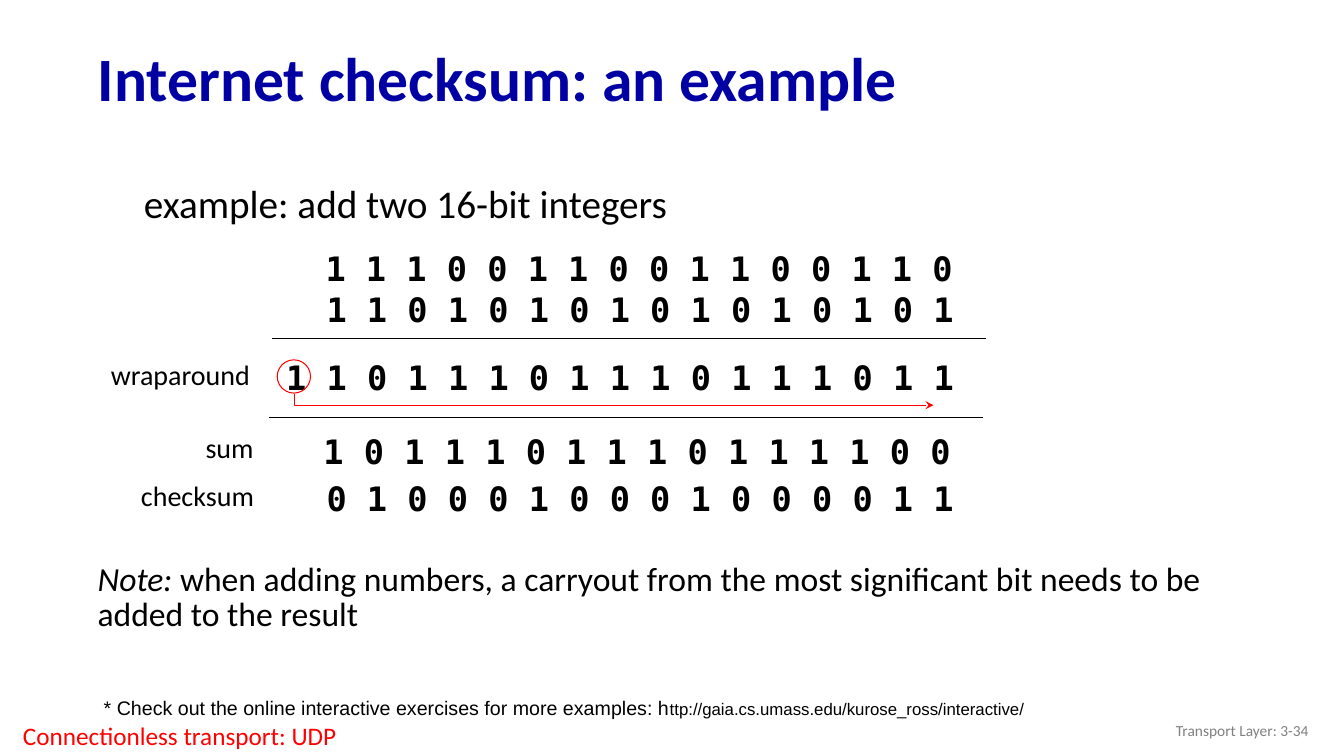
from lxml import etree
from pptx import Presentation
from pptx.dml.color import RGBColor
from pptx.enum.shapes import MSO_CONNECTOR, MSO_SHAPE
from pptx.enum.text import MSO_ANCHOR, MSO_AUTO_SIZE, PP_ALIGN
from pptx.oxml.ns import qn
from pptx.util import Inches, Pt

STRAIGHT = MSO_CONNECTOR.STRAIGHT
OVAL = MSO_SHAPE.OVAL
TOP, MIDDLE = MSO_ANCHOR.TOP, MSO_ANCHOR.MIDDLE
FIT, NO_FIT = MSO_AUTO_SIZE.SHAPE_TO_FIT_TEXT, MSO_AUTO_SIZE.NONE
LEFT, RIGHT = PP_ALIGN.LEFT, PP_ALIGN.RIGHT

NAVY = RGBColor(0x00, 0x00, 0xA3)
BLACK = RGBColor(0x00, 0x00, 0x00)
RED = RGBColor(0xFF, 0x00, 0x00)
GRAY = RGBColor(0x80, 0x80, 0x80)

BIT_WIDTH, BIT_HEIGHT = 6.45, 0.5
BIT_ROWS = [
    (3.13, 2.41, "1110011001100110"),
    (3.14, 2.82, "1101010101010101"),
    (2.74, 3.49, "11011101110111011"),
    (3.11, 4.23, "1011101110111100"),
    (3.14, 4.69, "0100010001000011"),
]
ROW_LABELS = [
    (1, 3.5, 1.59, "wraparound"),
    (1.94, 4.22, 0.7, "sum"),
    (1.3, 4.7, 1.34, "checksum"),
]
RULES = [(2.7, 3.36), (2.67, 4.14)]
RULE_LENGTH = 7.08


class SlideBuilder:
    base = {"name": "Calibri", "size": Pt(20), "bold": False, "italic": False}

    def __init__(self, slide):
        self.s = slide

    def fill_text(self, sp, runs, color=BLACK, align=LEFT, anchor=TOP,
                  wrap=True, fit=FIT, para=None, **font):
        """Put one paragraph in sp; runs is a list of (text, font values)."""
        tf = sp.text_frame
        tf.word_wrap, tf.auto_size, tf.vertical_anchor = wrap, fit, anchor
        p = tf.paragraphs[0]
        p.alignment = align
        for key, value in (para or {}).items():
            setattr(p, key, value)
        for text, extra in runs:
            r = p.add_run()
            r.text = text
            for key, value in {**self.base, **font, **extra}.items():
                setattr(r.font, key, value)
            r.font.color.rgb = color

    def title(self, box, text, **style):
        sp = self.s.shapes.title
        sp.left, sp.top, sp.width, sp.height = map(Inches, box)
        self.fill_text(sp, [(text, {})], **style)

    def text(self, box, *runs, **style):
        sp = self.s.shapes.add_textbox(*map(Inches, box))
        self.fill_text(sp, runs, **style)

    def rule(self, x, y, length):
        line = self.s.shapes.add_connector(
            STRAIGHT, *map(Inches, (x, y, x + length, y)))
        line.line.color.rgb = BLACK
        line.line.width = Pt(1)
        etree.SubElement(line.element.spPr, qn("a:effectLst"))

    def outline(self, sp):
        sp.shadow.inherit = False
        sp.fill.background()
        sp.line.color.rgb = RED
        sp.line.width = Pt(0.75)

    def circle(self, x, y, size):
        self.outline(self.s.shapes.add_shape(
            OVAL, *map(Inches, (x, y, size, size))))

    def bent_arrow(self, start, *points):
        fb = self.s.shapes.build_freeform(*map(Inches, start))
        fb.add_line_segments([tuple(map(Inches, pt)) for pt in points],
                             close=False)
        sp = fb.convert_to_shape()
        self.outline(sp)
        ln = sp.line._get_or_add_ln()
        etree.SubElement(ln, qn("a:tailEnd"), type="stealth")


def main():
    prs = Presentation()
    prs.slide_width, prs.slide_height = Inches(13.33), Inches(7.5)
    b = SlideBuilder(prs.slides.add_slide(prs.slide_layouts[5]))

    b.title((0.87, 0.32, 12.14, 0.98), "Internet checksum: an example",
            color=NAVY, anchor=MIDDLE, fit=NO_FIT, size=Pt(44), bold=True,
            para={"line_spacing": 0.9})
    b.text((1.33, 1.59, 8.5, 3), ("example: add two 16-bit integers", {}),
           fit=NO_FIT, size=Pt(28), para={"line_spacing": 1.3})

    for x, y, bits in BIT_ROWS:
        width = BIT_WIDTH + 0.4 * (len(bits) - 16)
        b.text((x, y, width, BIT_HEIGHT), (" ".join(bits), {}), wrap=False,
               name="DejaVu Sans Mono", size=Pt(24), bold=True)
    for x, y, width, label in ROW_LABELS:
        b.text((x, y, width, 0.44), (label, {}), wrap=False)
    for x, y in RULES:
        b.rule(x, y, RULE_LENGTH)

    b.circle(2.75, 3.57, 0.33)
    b.bent_arrow((2.92, 3.91), (2.92, 4.02), (9.26, 4.02))

    b.text((0.87, 5.55, 11.34, 1.18), ("Note:", {"italic": True}),
           (" when adding numbers, a carryout from the most significant bit "
            "needs to be added to the result", {}),
           size=Pt(24), para={"line_spacing": 0.85})
    b.text((0.93, 6.85, 10.78, 0.34),
           ("* Check out the online interactive exercises for more "
            "examples: h", {"size": Pt(14)}),
           ("ttp://gaia.cs.umass.edu/kurose_ross/interactive/",
            {"size": Pt(12)}), name="Arial")
    b.text((10.08, 7.05, 3, 0.4), ("Transport Layer: 3-34", {}), color=GRAY,
           align=RIGHT, anchor=MIDDLE, fit=NO_FIT, size=Pt(11))
    b.text((0.13, 7.1, 6.54, 0.4), ("Connectionless transport: UDP", {}),
           color=RED, size=Pt(18))

    prs.save("out.pptx")


if __name__ == "__main__":
    main()
